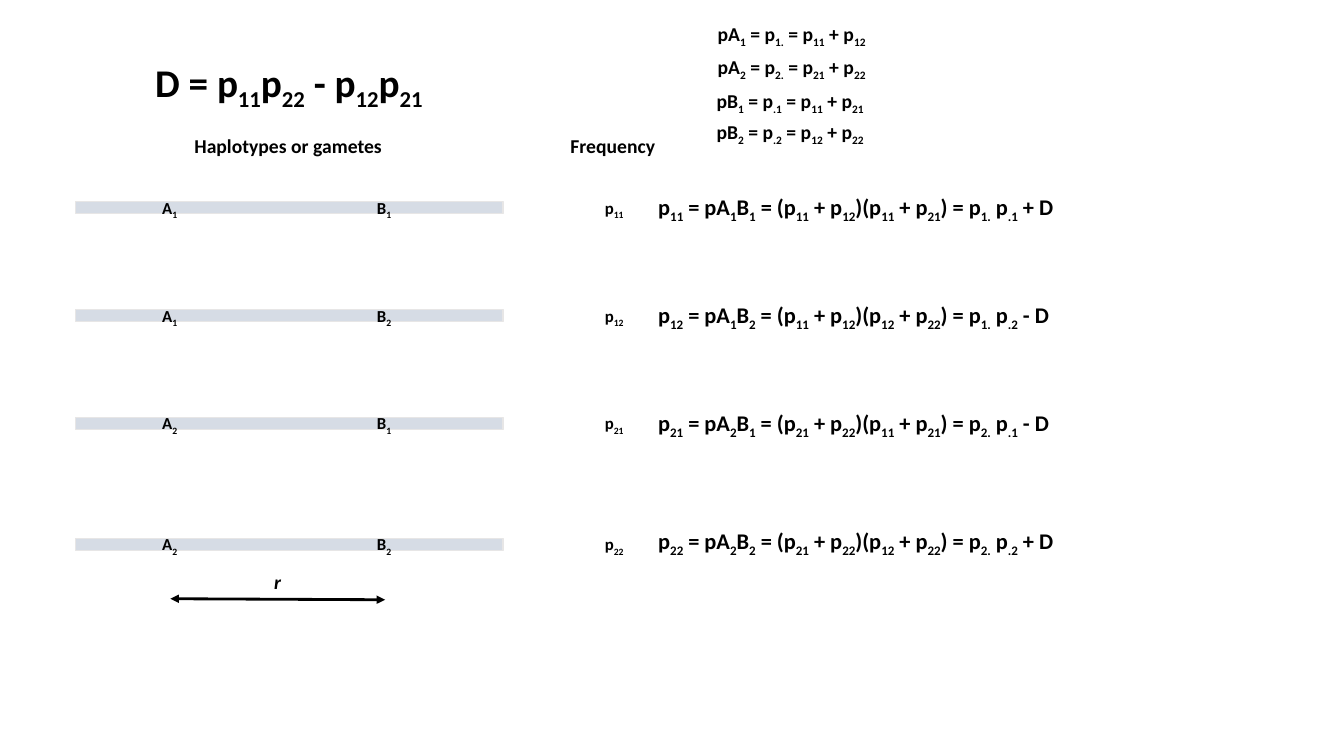
import pptx
import pptx.dml.color
import pptx.enum.shapes
import pptx.enum.text
import pptx.oxml.ns
import pptx.util
from lxml import etree

Inches = pptx.util.Inches

# Braces enclose subscripts.
DISEQUILIBRIUM = "D = p{11}p{22} - p{12}p{21}"
HEADINGS = [("Haplotypes or gametes", 1.83, 2.07), ("Frequency", 5.56, 1.05)]
DISTANCE = "r"
# bar top, allele A, allele B, frequency, equation, equation top, equation width
HAPLOTYPES = [
    (2.00, "A{1}", "B{1}", "p{11}",
     "p{11} = pA{1}B{1} = (p{11} + p{12})(p{11} + p{21}) = p{1.} p{.1} + D", 1.87, 4.59),
    (3.07, "A{1}", "B{2}", "p{12}",
     "p{12} = pA{1}B{2} = (p{11} + p{12})(p{12} + p{22}) = p{1.} p{.2} - D", 2.94, 4.5),
    (4.14, "A{2}", "B{1}", "p{21}",
     "p{21} = pA{2}B{1} = (p{21} + p{22})(p{11} + p{21}) = p{2.} p{.1} - D", 4.01, 4.5),
    (5.34, "A{2}", "B{2}", "p{22}",
     "p{22} = pA{2}B{2} = (p{21} + p{22})(p{12} + p{22}) = p{2.} p{.2} + D", 5.18, 4.38),
]
ALLELE_FREQUENCIES = [
    ("pA{1} = p{1.} = p{11} + p{12}", 7.02, 0.17),
    ("pA{2} = p{2.} = p{21} + p{22}", 7.02, 0.5),
    ("pB{1} = p{.1} = p{11} + p{21}", 7.01, 0.83),
    ("pB{2} = p{.2} = p{12} + p{22}", 7.01, 1.14),
]
FONT = "Calibri"
BLACK, BAR_FILL, BAR_LINE = "000000", "D6DCE5", "E7E6E6"
BAR_LEFT, BAR_WIDTH, BAR_HEIGHT = 0.75, 4.24, 0.12
LABEL_OFFSET = 0.09
HEIGHTS = {12: 0.3, 14: 0.34, 16: 0.37, 28: 0.57}


def color(value):
    return pptx.dml.color.RGBColor.from_string(value)


def add_formula(shapes, text, left, top, width, size, italic=False, centered=False):
    """Add one line of bold text, lowering the parts in braces."""
    box = shapes.add_textbox(Inches(left), Inches(top), Inches(width), Inches(HEIGHTS[size]))
    frame = box.text_frame
    frame.word_wrap = False
    frame.auto_size = pptx.enum.text.MSO_AUTO_SIZE.SHAPE_TO_FIT_TEXT
    paragraph = frame.paragraphs[0]
    if centered:
        paragraph.alignment = pptx.enum.text.PP_ALIGN.CENTER
    for index, part in enumerate(text.replace("}", "{").split("{")):
        if not part:
            continue
        run = paragraph.add_run()
        run.text = part
        run.font.name = FONT
        run.font.size = pptx.util.Pt(size)
        run.font.bold = True
        if italic:
            run.font.italic = True
        run.font.color.rgb = color(BLACK)
        if index % 2:
            run._r.get_or_add_rPr().set("baseline", "-25000")


def add_bar(shapes, top):
    bar = shapes.add_shape(pptx.enum.shapes.MSO_SHAPE.RECTANGLE, Inches(BAR_LEFT), Inches(top),
                           Inches(BAR_WIDTH), Inches(BAR_HEIGHT))
    bar.shadow.inherit = False
    bar.fill.solid()
    bar.fill.fore_color.rgb = color(BAR_FILL)
    bar.line.color.rgb = color(BAR_LINE)
    bar.line.width = pptx.util.Pt(1)


def add_double_arrow(shapes, left, top, right, bottom):
    arrow = shapes.add_connector(pptx.enum.shapes.MSO_CONNECTOR.STRAIGHT, Inches(left),
                                 Inches(top), Inches(right), Inches(bottom))
    arrow.line.color.rgb = color(BLACK)
    arrow.line.width = pptx.util.Pt(2)
    properties = arrow.line._get_or_add_ln()
    for end in ("a:headEnd", "a:tailEnd"):
        etree.SubElement(properties, pptx.oxml.ns.qn(end), type="triangle")
    etree.SubElement(arrow._element.spPr, pptx.oxml.ns.qn("a:effectLst"))


def main():
    presentation = pptx.Presentation()
    presentation.slide_width = Inches(13.33)
    presentation.slide_height = Inches(7.5)
    slide = presentation.slides.add_slide(presentation.slide_layouts[6])

    diagram = slide.shapes.add_group_shape().shapes
    for haplotype in HAPLOTYPES:
        add_bar(diagram, haplotype[0])
    for bar_top, allele_a, allele_b, frequency, *_ in HAPLOTYPES:
        label_top = bar_top - LABEL_OFFSET
        add_formula(diagram, allele_a, 1.51, label_top, 0.36, 12)
        add_formula(diagram, allele_b, 3.64, label_top, 0.35, 12)
        add_formula(diagram, frequency, 5.9, label_top, 0.41, 12)
    for heading, left, width in HEADINGS:
        add_formula(diagram, heading, left, 1.28, width, 14)
    add_formula(diagram, DISEQUILIBRIUM, 1.35, 0.53, 3.03, 28, centered=True)
    add_double_arrow(diagram, 1.69, 5.94, 3.82, 5.95)
    add_formula(diagram, DISTANCE, 2.62, 5.61, 0.27, 14, italic=True)

    allele_frequencies = slide.shapes.add_group_shape().shapes
    for formula, left, top in ALLELE_FREQUENCIES:
        add_formula(allele_frequencies, formula, left, top, 1.73, 14)
    for *_, equation, top, width in HAPLOTYPES:
        add_formula(slide.shapes, equation, 6.43, top, width, 16)

    presentation.save("out.pptx")


if __name__ == "__main__":
    main()
